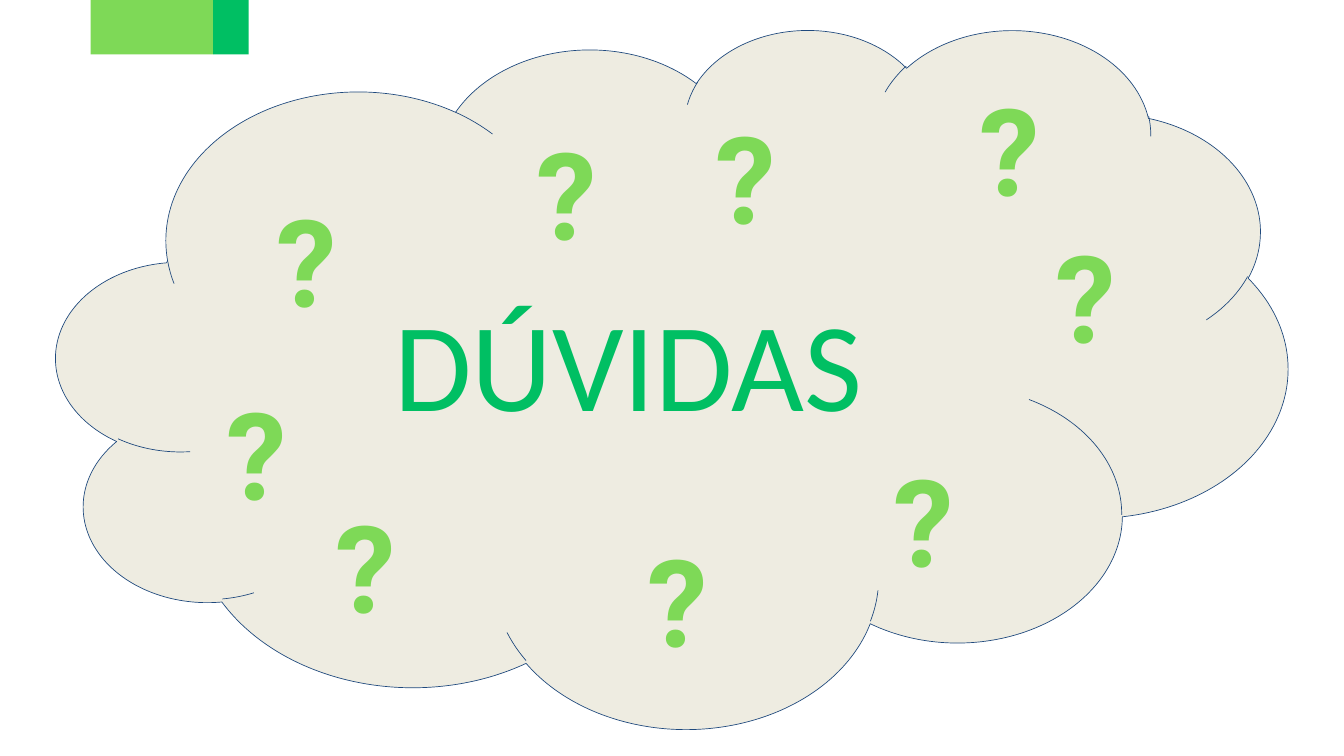
from dataclasses import dataclass

from pptx import Presentation
from pptx.dml.color import RGBColor
from pptx.enum import shapes, text
from pptx.util import Inches, Pt

COLS, ROWS = 20, 11.25


@dataclass(frozen=True)
class Theme:
    lime: str = "7ED957"
    green: str = "00BF63"
    cream: str = "EEECE1"
    navy: str = "1F497D"
    title_font: str = "Calibri"
    mark_font: str = "Roboto"
    title_size: int = 135
    mark_size: int = 130
    outline: float = 0.75


THEME = Theme()
MARK_SIZE = (1.13, 2.19)
MARKS = [
    (13.29, 6.53), (10.65, 1.42), (9.64, 7.72),
    (5, 7.22), (4.11, 2.66), (3.37, 5.53),
    (14.58, 1.01), (7.99, 1.67), (15.71, 3.2),
]


def grid(prs, box):
    col, row = prs.slide_width / COLS, prs.slide_height / ROWS
    x, y, w, h = box
    return round(x * col), round(y * row), round(w * col), round(h * row)


def write(tf, content, *, font, size, color, bold=False,
          align=None, spacing=None, inset=0.0):
    tf.word_wrap = True
    tf.margin_left = tf.margin_right = Inches(inset)
    tf.margin_top = tf.margin_bottom = Inches(inset)
    p = tf.paragraphs[0]
    p.alignment = align
    p.line_spacing = spacing
    r = p.add_run()
    r.text = content
    r.font.name = font
    r.font.size = Pt(size)
    r.font.bold = bold
    r.font.color.rgb = RGBColor.from_string(color)


def add_block(slide, kind, box, fill, line=None):
    sp = slide.shapes.add_shape(kind, *box)
    sp.shadow.inherit = False
    sp.fill.solid()
    sp.fill.fore_color.rgb = RGBColor.from_string(fill)
    if line:
        sp.line.color.rgb = RGBColor.from_string(line)
        sp.line.width = Pt(THEME.outline)
    else:
        sp.line.fill.background()
    return sp


def add_tab(prs, slide, box):
    x, y, w, h = box
    split = 1.82
    parts = [(x, split, THEME.lime), (x + split, w - split, THEME.green)]
    for left, width, fill in parts:
        add_block(slide, shapes.MSO_SHAPE.RECTANGLE,
                  grid(prs, (left, y, width, h)), fill)


def add_cloud(prs, slide, box):
    sp = add_block(slide, shapes.MSO_SHAPE.CLOUD, grid(prs, box),
                   THEME.cream, THEME.navy)
    sp.text_frame.vertical_anchor = text.MSO_ANCHOR.MIDDLE
    write(sp.text_frame, "DÚVIDAS", font=THEME.title_font,
          size=THEME.title_size, color=THEME.green,
          align=text.PP_ALIGN.CENTER, inset=0.1)


def add_mark(prs, slide, box):
    tf = slide.shapes.add_textbox(*grid(prs, box)).text_frame
    write(tf, "?", font=THEME.mark_font, size=THEME.mark_size,
          color=THEME.lime, bold=True, spacing=1.05)
    tf.auto_size = text.MSO_AUTO_SIZE.SHAPE_TO_FIT_TEXT


def main():
    prs = Presentation()
    prs.slide_width, prs.slide_height = Inches(COLS), Inches(ROWS)
    slide = prs.slides.add_slide(prs.slide_layouts[6])
    add_tab(prs, slide, (1.35, -0.8, 2.35, 1.61))
    add_cloud(prs, slide, (0.84, 0.42, 18.32, 10.4))
    for spot in MARKS:
        add_mark(prs, slide, spot + MARK_SIZE)
    prs.save("out.pptx")


if __name__ == "__main__":
    main()
